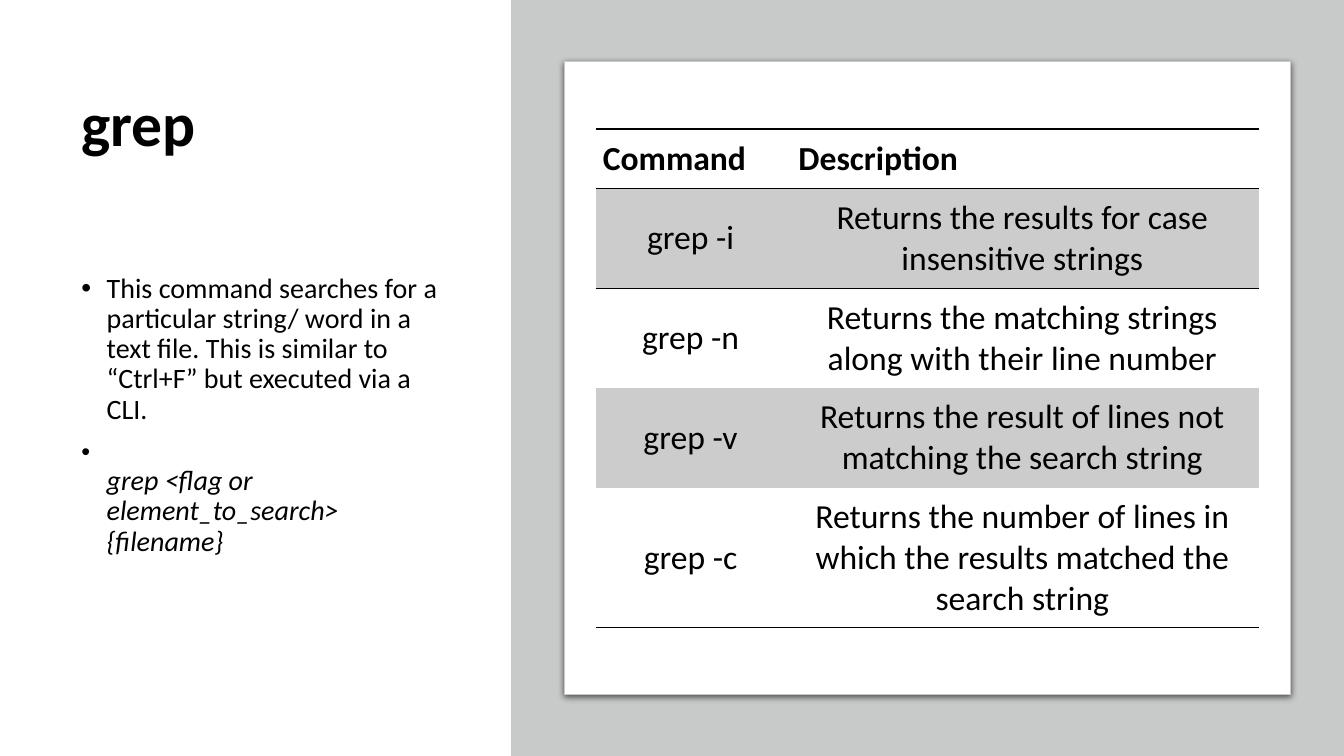
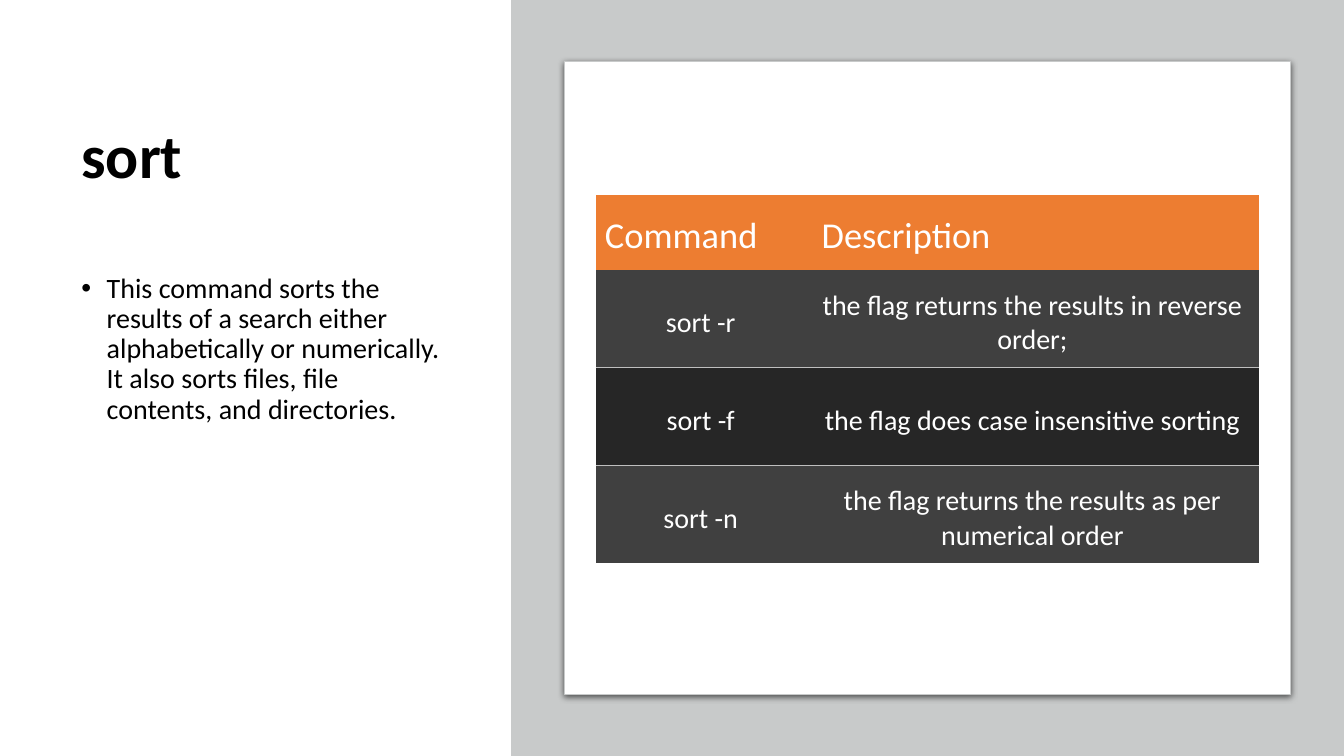
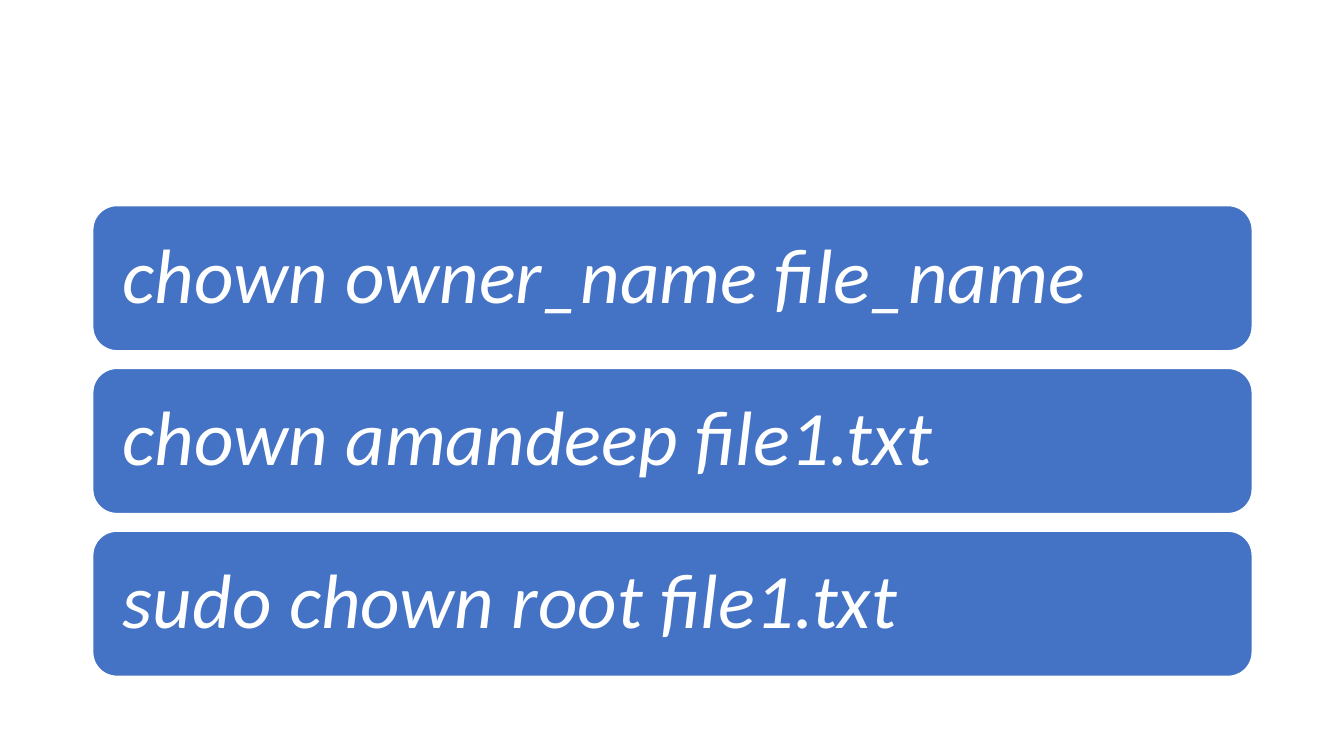
from lxml import etree
from pptx import Presentation
from pptx import util as u
from pptx.dml import color
from pptx.enum import shapes, text
from pptx.oxml import ns

HUES = {
    "ink": "000000", "paper": "FFFFFF", "panel": "C8CACA", "band": "CCCCCC",
    "head": "ED7D31", "dark": "404040", "deep": "262626", "rule": "BFBFBF",
    "pill": "4472C4",
}
FONT = "Calibri"
PLAIN = "{2D5ABB26-0587-4C30-8999-92F81FD0307C}"
LEFT, WIDE = 0.71, 3.83


def rgb(hue):
    return color.RGBColor.from_string(HUES[hue])


def node(root, tag, **attrs):
    return etree.SubElement(root, ns.qn(tag), attrs)


def write(para, words, size, hue="ink", bold=False, slant=False):
    run = para.add_run()
    run.text = words
    font = run.font
    font.name, font.size = FONT, u.Pt(size)
    font.bold, font.italic = bold, slant
    font.color.rgb = rgb(hue)


def inset(item, left, top, right, low):
    item.margin_left, item.margin_top = u.Inches(left), u.Inches(top)
    item.margin_right, item.margin_bottom = u.Inches(right), u.Inches(low)


def block(slide, kind, box, fill, line=None, width=1):
    item = slide.shapes.add_shape(kind, *map(u.Inches, box))
    item.shadow.inherit = False
    item.fill.solid()
    item.fill.fore_color.rgb = rgb(fill)
    if line:
        item.line.color.rgb = rgb(line)
        item.line.width = u.Pt(width)
    else:
        item.line.fill.background()
    return item


def shade(item):
    effects = item.element.spPr.find(ns.qn("a:effectLst"))
    outer = node(effects, "a:outerShdw", blurRad=str(u.Pt(4.5)),
                 dist=str(u.Pt(1.5)), dir="5400000", algn="ctr", rotWithShape="0")
    tint = node(outer, "a:srgbClr", val=HUES["ink"])
    node(tint, "a:alpha", val="63000")


def frame(slide, top, high):
    box = slide.shapes.add_textbox(*map(u.Inches, (LEFT, top, WIDE, high)))
    box.text_frame.word_wrap = True
    return box.text_frame


def title(slide, words, high):
    area = frame(slide, 0.69, high)
    area.vertical_anchor = text.MSO_ANCHOR.MIDDLE
    para = area.paragraphs[0]
    para.line_spacing = 0.9
    write(para, words, 44, bold=True)


def bullet(para):
    para.line_spacing = 0.9
    para.space_before = u.Pt(10)
    props = para._p.get_or_add_pPr()
    props.set("marL", str(u.Inches(0.25)))
    props.set("indent", str(u.Inches(-0.25)))
    node(props, "a:buFont", typeface="Arial")
    node(props, "a:buChar", char="•")


def body(slide, words, usage=None):
    area = frame(slide, 2.67, 4.14)
    para = area.paragraphs[0]
    bullet(para)
    write(para, words, 20)
    if usage:
        para = area.add_paragraph()
        bullet(para)
        para.add_line_break()
        write(para, usage, 20, slant=True)


def panel(slide):
    block(slide, shapes.MSO_SHAPE.RECTANGLE, (5.07, 0, 8.26, 7.5), "panel")
    card = block(slide, shapes.MSO_SHAPE.RECTANGLE, (5.6, 0.61, 7.2, 6.28),
                 "paper", "panel", 0.75)
    shade(card)


def edge(cell, side, hue):
    line = node(cell._tc.get_or_add_tcPr(), "a:ln" + side, w=str(u.Pt(1)))
    node(node(line, "a:solidFill"), "a:srgbClr", val=HUES[hue])


def grid(slide, top, cols, highs, rows, pads, look):
    box = (5.91, top, sum(cols), sum(highs))
    item = slide.shapes.add_table(len(rows), len(cols), *map(u.Inches, box))
    item.element.find(".//" + ns.qn("a:tableStyleId")).text = PLAIN
    table = item.table
    table.first_row = table.horz_banding = False
    for col, wide in zip(table.columns, cols):
        col.width = u.Inches(wide)
    for r, row in enumerate(rows):
        table.rows[r].height = u.Inches(highs[r])
        for c, words in enumerate(row):
            cell = table.cell(r, c)
            inset(cell, *pads)
            cell.vertical_anchor = text.MSO_ANCHOR.MIDDLE
            for side in look["edges"].get(r, ""):
                edge(cell, side, look["rule"])
            fill = look["fills"][r]
            if fill:
                cell.fill.solid()
                cell.fill.fore_color.rgb = rgb(fill)
            else:
                cell.fill.background()
            para = cell.text_frame.paragraphs[0]
            if r:
                para.alignment = text.PP_ALIGN.CENTER
            size = look["size"] if r else look["top"]
            write(para, words, size, look["hue"], bold=look["bold"] and r == 0)


def pills(slide, lines):
    for i, words in enumerate(lines):
        box = (0.92, 2.04 + i * 3.23 / 2, 11.5, 1.44)
        item = block(slide, shapes.MSO_SHAPE.ROUNDED_RECTANGLE, box, "pill", "paper")
        area = item.text_frame
        area.word_wrap = True
        area.vertical_anchor = text.MSO_ANCHOR.MIDDLE
        inset(area, 0.23, 0.23, 0.23, 0.23)
        para = area.paragraphs[0]
        para.alignment = text.PP_ALIGN.LEFT
        para.line_spacing = 0.9
        write(para, words, 55, "paper", slant=True)


def main():
    deck = Presentation()
    deck.slide_width, deck.slide_height = u.Inches(13.33), u.Inches(7.5)
    grep, sort, chown = [deck.slides.add_slide(deck.slide_layouts[6])
                         for _ in range(3)]
    names = ("Command", "Description")

    title(grep, "grep", 1.12)
    body(grep, "This command searches for a particular string/ word in a text file. "
         "This is similar to “Ctrl+F” but executed via a CLI.",
         "grep <flag or element_to_search> {filename}")
    panel(grep)
    grid(grep, 1.28, (1.94, 4.64), (0.59, 0.99, 0.99, 0.99, 1.39), [
        names,
        ("grep -i", "Returns the results for case insensitive strings"),
        ("grep -n", "Returns the matching strings along with their line number"),
        ("grep -v", "Returns the result of lines not matching the search string"),
        ("grep -c", "Returns the number of lines in which the results matched "
         "the search string"),
    ], (0.07, 0.07, 0.13, 0.07), {
        "fills": (None, "band", None, "band", None),
        "edges": {0: "TB", 1: "T", 4: "B"}, "rule": "ink",
        "hue": "ink", "top": 24, "size": 24, "bold": True,
    })

    title(sort, "sort", 1.77)
    body(sort, "This command sorts the results of a search either alphabetically "
         "or numerically. It also sorts files, file contents, and directories.")
    panel(sort)
    grid(sort, 1.93, (2.15, 4.43), (0.75, 0.97, 0.97, 0.97), [
        names,
        ("sort -r", "the flag returns the results in reverse order;"),
        ("sort -f", "the flag does case insensitive sorting"),
        ("sort -n", "the flag returns the results as per numerical order"),
    ], (0.09, 0.16, 0.16, 0.08), {
        "fills": ("head", "dark", "deep", "dark"),
        "edges": {1: "B", 2: "T"}, "rule": "rule",
        "hue": "paper", "top": 26, "size": 20, "bold": False,
    })

    pills(chown, ("chown owner_name file_name", "chown amandeep file1.txt",
                  "sudo chown root file1.txt"))
    deck.save("out.pptx")


if __name__ == "__main__":
    main()
